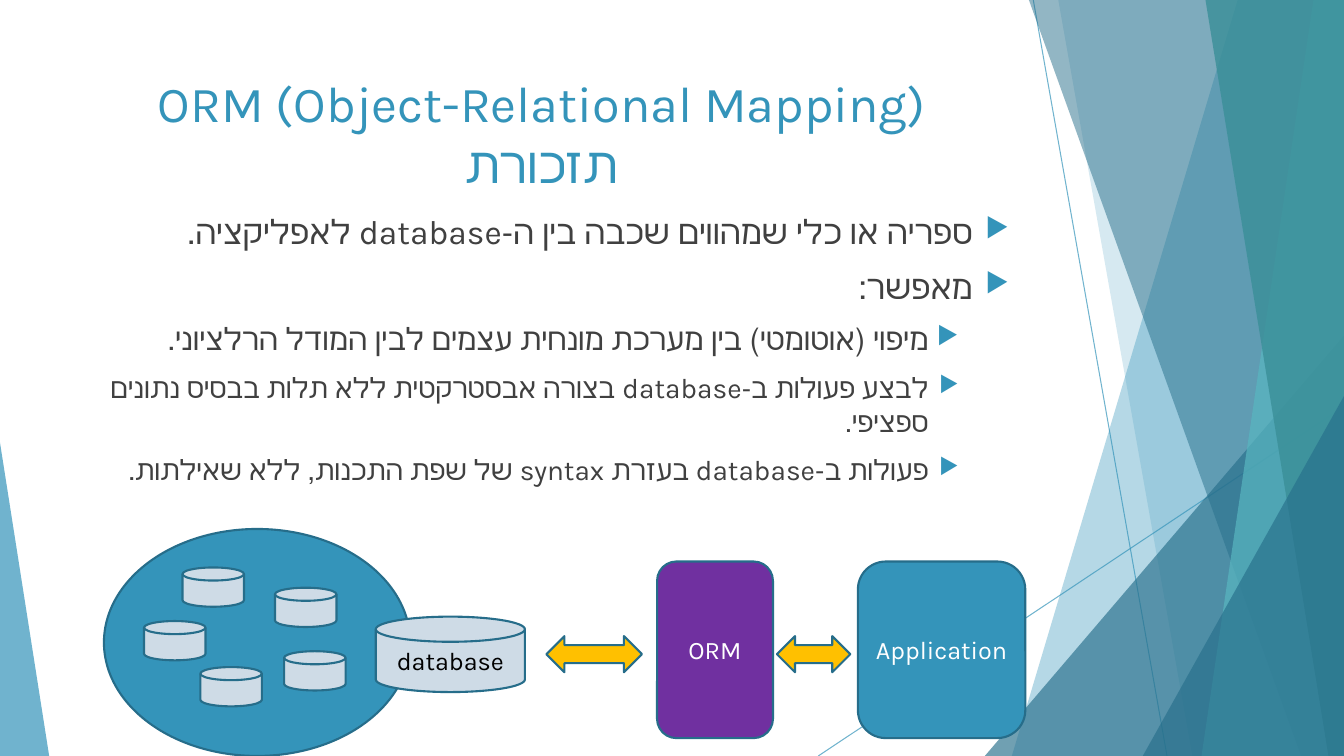
from lxml import etree
from pptx import Presentation
from pptx.dml.color import RGBColor
from pptx.enum.shapes import MSO_CONNECTOR, MSO_SHAPE
from pptx.enum.text import MSO_ANCHOR, PP_ALIGN
from pptx.oxml.ns import qn
from pptx.util import Cm, Pt

LINE = MSO_CONNECTOR.STRAIGHT
TRIANGLE = MSO_SHAPE.ISOSCELES_TRIANGLE
BOX = MSO_SHAPE.ROUNDED_RECTANGLE
ARROW = MSO_SHAPE.LEFT_RIGHT_ARROW
OVAL = MSO_SHAPE.OVAL
DISK = MSO_SHAPE.FLOWCHART_MAGNETIC_DISK
TOP, MIDDLE = MSO_ANCHOR.TOP, MSO_ANCHOR.MIDDLE
CENTER, RIGHT = PP_ALIGN.CENTER, PP_ALIGN.RIGHT

BLUE = RGBColor(0x34, 0x94, 0xBA)
DARK_BLUE = RGBColor(0x27, 0x6F, 0x8B)
OUTLINE = RGBColor(0x26, 0x6D, 0x8A)
AQUA = RGBColor(0x58, 0xB6, 0xC0)
TEAL = RGBColor(0x3A, 0x8F, 0x98)
PURPLE = RGBColor(0x70, 0x30, 0xA0)
GOLD = RGBColor(0xFF, 0xC0, 0x00)
PALE = RGBColor(0xCE, 0xDB, 0xE6)
GREY = RGBColor(0x40, 0x40, 0x40)
WHITE = RGBColor(0xFF, 0xFF, 0xFF)
BLACK = RGBColor(0, 0, 0)

WIDTH, HEIGHT = 33.87, 19.05
INDENTS = [(0.95, 0.95), (2.06, 0.79)]  # margin and hanging part per level


class Deck:
    font = "Karla"

    def __init__(self):
        self.prs = Presentation()
        self.prs.slide_width, self.prs.slide_height = Cm(WIDTH), Cm(HEIGHT)
        self.s = self.prs.slides.add_slide(self.prs.slide_layouts[6])

    def set_alpha(self, color_format, percent):
        color = color_format._xFill.find(qn("a:srgbClr"))
        etree.SubElement(color, qn("a:alpha")).set("val", str(percent * 1000))

    def tint(self, sp, color, alpha):
        """Fill a borderless shape with a see-through colour."""
        sp.shadow.inherit = False
        sp.fill.solid()
        sp.fill.fore_color.rgb = color
        self.set_alpha(sp.fill.fore_color, alpha)
        sp.line.fill.background()

    def line(self, x1, y1, x2, y2):
        c = self.s.shapes.add_connector(LINE, Cm(x1), Cm(y1), Cm(x2), Cm(y2))
        c.line.color.rgb = BLUE
        c.line.width = Pt(0.75)
        self.set_alpha(c.line.fill.fore_color, 70)
        etree.SubElement(c._element.spPr, qn("a:effectLst"))

    def band(self, top_x, bottom_x, color, alpha):
        """Fill the slide right of a slanted edge."""
        fb = self.s.shapes.build_freeform(Cm(top_x), 0)
        corners = [(WIDTH, 0), (WIDTH, HEIGHT), (bottom_x, HEIGHT)]
        fb.add_line_segments([(Cm(x), Cm(y)) for x, y in corners])
        self.tint(fb.convert_to_shape(), color, alpha)

    def triangle(self, x, y, w, apex, color, alpha):
        """Draw a triangle that stands on the bottom edge of the slide."""
        sp = self.s.shapes.add_shape(TRIANGLE, Cm(x), Cm(y), Cm(w), Cm(HEIGHT - y))
        sp.adjustments[0] = apex
        self.tint(sp, color, alpha)

    def style(self, p, size, color, align):
        p.alignment = align
        p.font.name = self.font
        p.font.size = Pt(size)
        p.font.color.rgb = color

    def shape(self, kind, x, y, w, h, fill, text="", color=WHITE):
        sp = self.s.shapes.add_shape(kind, Cm(x), Cm(y), Cm(w), Cm(h))
        sp.shadow.inherit = False
        sp.fill.solid()
        sp.fill.fore_color.rgb = fill
        sp.line.color.rgb = OUTLINE
        sp.line.width = Pt(1.5)
        if text:
            tf = sp.text_frame
            tf.word_wrap = False
            tf.vertical_anchor = MIDDLE
            tf.text = text
            self.style(tf.paragraphs[0], 18, color, CENTER)

    def text_box(self, x, y, w, h):
        tf = self.s.shapes.add_textbox(Cm(x), Cm(y), Cm(w), Cm(h)).text_frame
        tf.word_wrap = True
        tf.vertical_anchor = TOP
        return tf

    def title(self, text, x, y, w, h):
        p = self.text_box(x, y, w, h).paragraphs[0]
        p.text = text
        self.style(p, 36, BLUE, CENTER)
        p._p.get_or_add_pPr().set("rtl", "1")

    def bullets(self, items, x, y, w, h):
        tf = self.text_box(x, y, w, h)
        for i, (level, size, text) in enumerate(items):
            p = tf.add_paragraph() if i else tf.paragraphs[0]
            p.text = text
            p.level = level
            p.space_before = Pt(10)
            self.style(p, size, GREY, RIGHT)
            self.add_bullet(p, *INDENTS[level])

    def add_bullet(self, p, margin, hanging):
        pPr = p._p.get_or_add_pPr()
        pPr.set("rtl", "1")
        pPr.set("marL", str(Cm(margin)))
        pPr.set("indent", str(-Cm(hanging)))
        color = etree.Element(qn("a:buClr"))
        etree.SubElement(color, qn("a:srgbClr")).set("val", str(BLUE))
        size = etree.Element(qn("a:buSzPct"))
        size.set("val", "80000")
        char = etree.Element(qn("a:buChar"))
        char.set("char", "▶")
        defaults = pPr.find(qn("a:defRPr"))
        for element in (color, size, char):
            defaults.addprevious(element)


def main():
    d = Deck()

    d.line(26.04, 0, 29.41, HEIGHT)
    d.line(WIDTH, 10.24, 20.62, HEIGHT)
    d.band(31.19, 25.5, BLUE, 36)
    d.band(26.67, 30.05, BLUE, 20)
    d.triangle(24.82, 8.46, 9.05, 1, DARK_BLUE, 66)
    d.band(25.93, 32.79, DARK_BLUE, 50)
    d.band(33.1, 30.28, AQUA, 70)
    d.band(30.38, 33.48, TEAL, 80)
    d.triangle(28.8, 9.98, 5.07, 1, DARK_BLUE, 66)
    d.triangle(0, 11.15, 1.24, 0, BLUE, 70)

    d.title("ORM (Object-Relational Mapping) \vתזכורת ", 1.24, 1.7, 24.51, 3.66)
    d.bullets([
        (0, 24, "ספריה או כלי שמהווים שכבה בין ה-database לאפליקציה."),
        (0, 24, "מאפשר:"),
        (1, 22, "מיפוי (אוטומטי) בין מערכת מונחית עצמים לבין המודל הרלציוני."),
        (1, 20, "לבצע פעולות ב-database בצורה אבסטרקטית ללא תלות בבסיס נתונים ספציפי."),
        (1, 20, "פעולות ב-database בעזרת syntax של שפת התכנות, ללא שאילתות."),
    ], 1.83, 5.2, 23.88, 10.77)

    d.shape(BOX, 21.62, 14.15, 4.22, 4.45, BLUE, "Application")
    d.shape(BOX, 16.56, 14.15, 2.92, 4.45, PURPLE, "ORM")
    for x, w in [(13.77, 2.41), (19.58, 1.85)]:
        d.shape(ARROW, x, 16.03, w, 0.91, GOLD)

    d.shape(OVAL, 2.62, 13.33, 7.72, 5.72, BLUE)
    d.shape(DISK, 9.47, 15.54, 3.76, 1.9, PALE, "database", BLACK)
    for x, y in [(4.6, 14.3), (6.93, 14.81), (3.63, 15.65), (7.16, 16.41), (5.05, 16.81)]:
        d.shape(DISK, x, y, 1.55, 0.99, PALE)

    d.prs.save("out.pptx")


if __name__ == "__main__":
    main()
